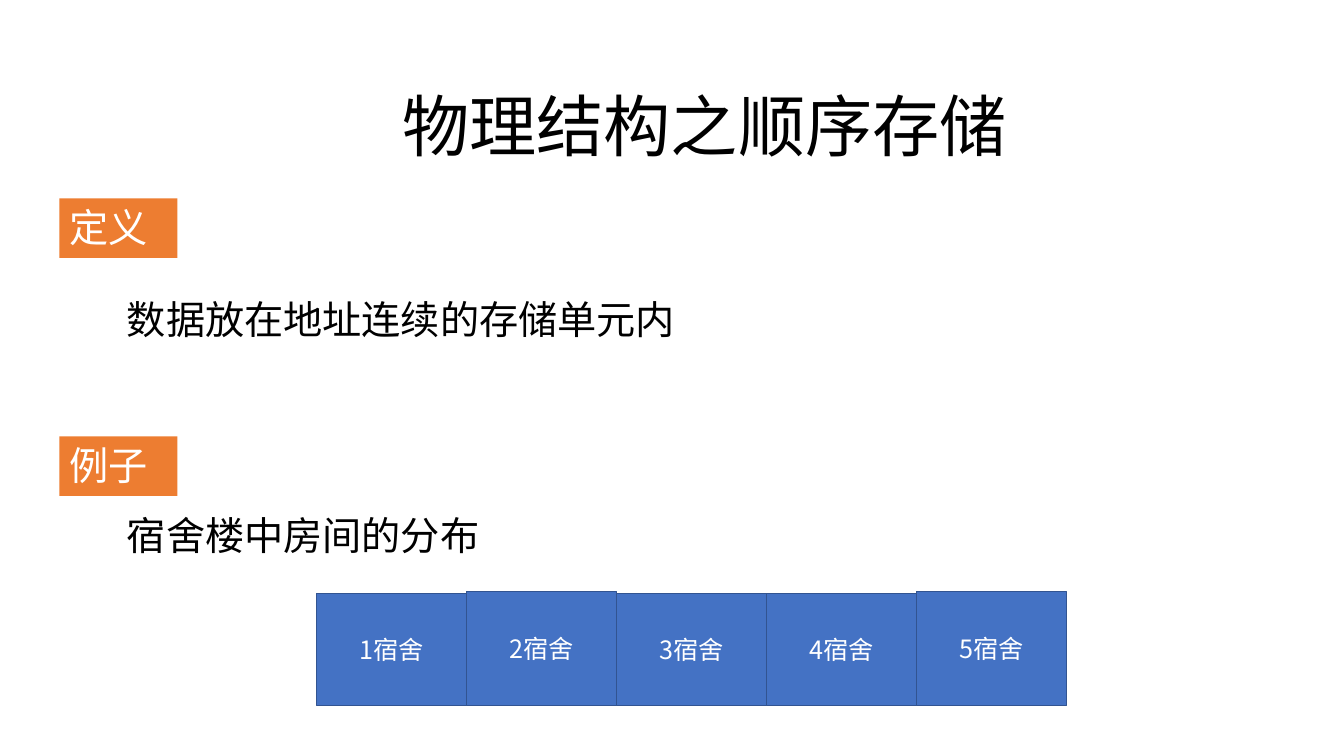
import dataclasses

import lxml.etree
import pptx
import pptx.dml.color
import pptx.enum.shapes
import pptx.enum.text
import pptx.oxml.ns
import pptx.util

Cm = pptx.util.Cm
Align = pptx.enum.text.PP_ALIGN
Anchor = pptx.enum.text.MSO_ANCHOR


@dataclasses.dataclass
class Theme:
    face: str = "Noto Sans CJK SC"
    ink: str = "000000"
    light: str = "FFFFFF"
    blue: str = "4472C4"
    edge: str = "325491"
    orange: str = "ED7D31"
    title: int = 48
    body: int = 28
    small: int = 18


class Deck:
    def __init__(self, theme, slide):
        self.theme = theme
        self.slide = slide

    def letter(self, shape, text, size, color, align=Align.LEFT, grow=True):
        """Fill a shape with one styled paragraph."""
        frame = shape.text_frame
        frame.word_wrap = True
        if grow:
            frame.auto_size = pptx.enum.text.MSO_AUTO_SIZE.SHAPE_TO_FIT_TEXT
        frame.vertical_anchor = Anchor.TOP if grow else Anchor.MIDDLE
        para = frame.paragraphs[0]
        para.text = text
        para.alignment = align
        font = para.font
        font.size = pptx.util.Pt(size)
        font.color.rgb = pptx.dml.color.RGBColor.from_string(color)
        font.name = self.theme.face
        # Chinese glyphs take their face from a:ea, next to a:latin
        qn = pptx.oxml.ns.qn
        latin = next(para._p.iter(qn("a:latin")))
        east = lxml.etree.SubElement(latin.getparent(), qn("a:ea"))
        east.set("typeface", self.theme.face)

    def label(self, box, text, size, align=Align.LEFT):
        shape = self.slide.shapes.add_textbox(*map(Cm, box))
        self.letter(shape, text, size, self.theme.ink, align)

    def block(self, box, fill):
        kind = pptx.enum.shapes.MSO_SHAPE.RECTANGLE
        shape = self.slide.shapes.add_shape(kind, *map(Cm, box))
        shape.shadow.inherit = False
        shape.fill.solid()
        shape.fill.fore_color.rgb = pptx.dml.color.RGBColor.from_string(fill)
        shape.line.fill.background()
        return shape

    def tag(self, top, text):
        shape = self.block((1.5, top, 2.97, 1.5), self.theme.orange)
        self.letter(shape, text, self.theme.body, self.theme.light)

    def room(self, box, text):
        shape = self.block(box, self.theme.blue)
        shape.line.color.rgb = pptx.dml.color.RGBColor.from_string(self.theme.edge)
        shape.line.width = pptx.util.Pt(1)
        self.letter(shape, text, self.theme.small, self.theme.light,
                    Align.CENTER, grow=False)


def main():
    show = pptx.Presentation()
    show.slide_width, show.slide_height = Cm(33.87), Cm(19.05)
    theme = Theme()
    deck = Deck(theme, show.slides.add_slide(show.slide_layouts[6]))

    deck.label((7.01, 2.01, 21.49, 2.31), "物理结构之顺序存储",
               theme.title, Align.CENTER)
    deck.label((2.95, 7.32, 14.73, 1.45), "数据放在地址连续的存储单元内", theme.body)

    left, width, base = 7.98, 3.78, 17.78
    tops = (14.96, 14.91, 14.96, 14.96, 14.91)
    for i, top in enumerate(tops):
        deck.room((left + i * width, top, width, base - top), f"{i + 1}宿舍")

    deck.label((2.95, 12.75, 13.56, 1.45), "宿舍楼中房间的分布", theme.body)
    deck.tag(5, "定义")
    deck.tag(11, "例子")
    show.save("out.pptx")


if __name__ == "__main__":
    main()
